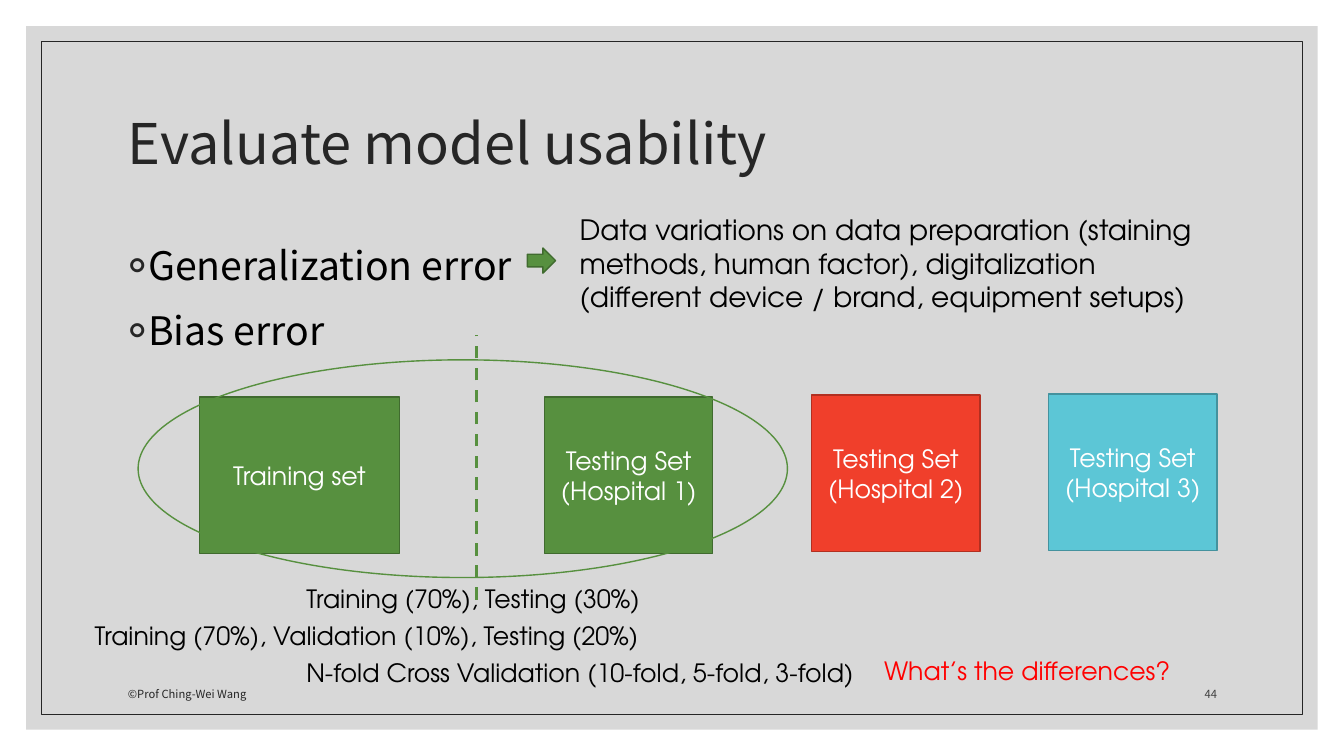
from lxml import etree
from pptx import Presentation
from pptx.dml.color import RGBColor
from pptx.enum.dml import MSO_LINE
from pptx.enum.shapes import MSO_CONNECTOR, MSO_SHAPE
from pptx.enum.text import MSO_ANCHOR, PP_ALIGN
from pptx.oxml.ns import qn
from pptx.util import Inches, Pt

RECTANGLE, OVAL, ARROW = MSO_SHAPE.RECTANGLE, MSO_SHAPE.OVAL, MSO_SHAPE.RIGHT_ARROW
TOP, MIDDLE, BOTTOM = MSO_ANCHOR.TOP, MSO_ANCHOR.MIDDLE, MSO_ANCHOR.BOTTOM
LEFT, CENTER, RIGHT = PP_ALIGN.LEFT, PP_ALIGN.CENTER, PP_ALIGN.RIGHT
SANS, GEOMETRIC = "Noto Sans CJK TC", "TeX Gyre Adventor"
COLORS = {
    "panel": "BFBFBF", "ink": "262626", "number": "404040", "black": "000000",
    "white": "FFFFFF", "question": "FF0000", "green": "57903F", "green edge": "406B2F",
    "red": "F03F2B", "red edge": "B22F20", "blue": "5CC6D6", "blue edge": "44929E",
}
WIDTH, HEIGHT = 13.33, 7.5
MARGIN = 1.17
CONTENT_WIDTH = WIDTH - 2 * MARGIN


def add_box(kind, area, fill=None, line=None, line_width=1):
    shape = slide.shapes.add_shape(kind, *map(Inches, area))
    shape.shadow.inherit = False
    if fill:
        shape.fill.solid()
        shape.fill.fore_color.rgb = RGBColor.from_string(COLORS[fill])
    else:
        shape.fill.background()
    if line:
        shape.line.color.rgb = RGBColor.from_string(COLORS[line])
        shape.line.width = Pt(line_width)
    else:
        shape.line.fill.background()
    return shape


def write(shape, lines, size, font, color, anchor=TOP, align=LEFT, wrap=True, bullet=None, **spacing):
    """Fill a shape with one paragraph per line; spacing holds paragraph attributes."""
    frame = shape.text_frame
    frame.word_wrap = wrap
    frame.vertical_anchor = anchor
    for index, text in enumerate(lines):
        paragraph = frame.paragraphs[0] if index == 0 else frame.add_paragraph()
        paragraph.alignment = align
        for name, value in spacing.items():
            if name != "space_before" or index > 0:
                setattr(paragraph, name, value)
        if bullet:
            properties = paragraph._p.get_or_add_pPr()
            properties.set("marL", str(Inches(0.2)))
            properties.set("indent", str(-Inches(0.2)))
            bullet_color = etree.SubElement(properties, qn("a:buClr"))
            etree.SubElement(bullet_color, qn("a:srgbClr"), val=COLORS["ink"])
            # The geometric font's bullet is narrow enough for the hanging indent
            etree.SubElement(properties, qn("a:buFont"), typeface=GEOMETRIC)
            etree.SubElement(properties, qn("a:buChar"), char=bullet)
        run = paragraph.add_run()
        run.text = text
        formats = {"size": Pt(size), "name": font}
        for name, value in formats.items():
            setattr(run.font, name, value)
        run.font.color.rgb = RGBColor.from_string(COLORS[color])


presentation = Presentation()
presentation.slide_width, presentation.slide_height = Inches(WIDTH), Inches(HEIGHT)
slide = presentation.slides.add_slide(presentation.slide_layouts[6])

# Translucent panel and its thin frame
for inset, fill, line in [(0.26, "panel", None), (0.41, None, "ink")]:
    area = (inset, inset, WIDTH - 2 * inset, HEIGHT - 2 * inset)
    panel = add_box(RECTANGLE, area, fill, line, 0.5)
    if fill:
        panel_color = panel._element.spPr.find(qn("a:solidFill"))[0]
        etree.SubElement(panel_color, qn("a:alpha"), val="60000")

# Title, bullets and footer
sans_texts = [
    ((MARGIN, 0.7, CONTENT_WIDTH, 1.5), ["Evaluate model usability"], 40, "ink",
     {"anchor": MIDDLE, "line_spacing": 0.9}),
    ((MARGIN, 2.3, CONTENT_WIDTH, 4.21), ["Generalization error", "Bias error"], 28, "black",
     {"bullet": "◦", "line_spacing": 1.1, "space_before": Pt(9)}),
    ((MARGIN, 6.6, 6.36, 0.4), ["©Prof Ching-Wei Wang"], 8, "ink", {"anchor": BOTTOM}),
    ((11.25, 6.6, 0.92, 0.4), ["44"], 8, "number", {"anchor": BOTTOM, "align": RIGHT}),
]
for area, lines, size, color, options in sans_texts:
    write(slide.shapes.add_textbox(*map(Inches, area)), lines, size, SANS, color, **options)

# Data sets
data_sets = [
    (1.98, 3.94, 1.98, "green", ["Training set"]),
    (5.4, 3.94, 1.67, "green", ["Testing Set", "(Hospital 1)"]),
    (8.05, 3.92, 1.67, "red", ["Testing Set", "(Hospital 2)"]),
    (10.4, 3.91, 1.67, "blue", ["Testing Set", "(Hospital 3)"]),
]
for left, top, width, color, lines in data_sets:
    data_set = add_box(RECTANGLE, (left, top, width, 1.55), color, color + " edge")
    write(data_set, lines, 18, GEOMETRIC, "white", MIDDLE, CENTER)

# Dashed split between training and testing
split = slide.shapes.add_connector(
    MSO_CONNECTOR.STRAIGHT, Inches(4.73), Inches(5.95), Inches(4.73), Inches(3.32))
split.line.color.rgb = RGBColor.from_string(COLORS["green"])
split.line.width = Pt(2.25)
split.line.dash_style = MSO_LINE.DASH
etree.SubElement(split._element.spPr, qn("a:effectLst"))

add_box(ARROW, (5.23, 2.46, 0.28, 0.25), "green", "green edge")
add_box(OVAL, (1.37, 3.57, 6.44, 2.16), None, "green")

# Explanation, split ratios and question
notes = [
    ((5.65, 2.06, 6.38, 1.11), 20, "black", True,
     "Data variations on data preparation (staining methods, human factor), "
     "digitalization (different device / brand, equipment setups)"),
    ((2.94, 5.74, 3.57, 0.4), 18, "black", False, "Training (70%), Testing (30%)"),
    ((0.84, 6.1, 5.7, 0.4), 18, "black", False, "Training (70%), Validation (10%), Testing (20%)"),
    ((2.94, 6.47, 5.73, 0.4), 18, "black", False, "N-fold Cross Validation (10-fold, 5-fold, 3-fold)"),
    ((8.67, 6.45, 3.36, 0.4), 18, "question", True, "What’s the differences?"),
]
for area, size, color, wrap, text in notes:
    write(slide.shapes.add_textbox(*map(Inches, area)), [text], size, GEOMETRIC, color, wrap=wrap)

presentation.save("out.pptx")
